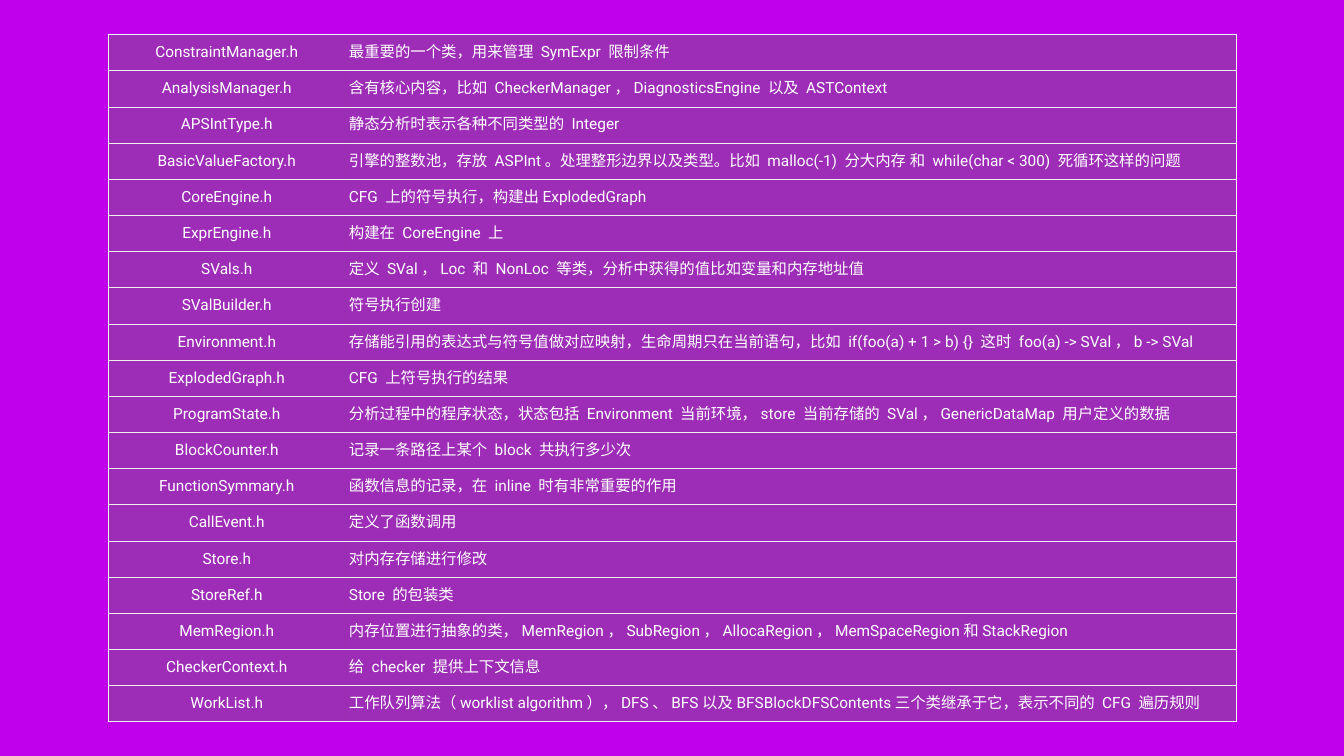
import lxml.etree
import pptx
import pptx.dml.color
import pptx.enum.text
import pptx.oxml.ns
import pptx.util

Pt = pptx.util.Pt
RGBColor = pptx.dml.color.RGBColor
qn = pptx.oxml.ns.qn

PURPLE = RGBColor(0xC0, 0x00, 0xEB)
CELL_GREY = RGBColor(0x6D, 0x6D, 0x6D)
RULE_GREY = RGBColor(0xF0, 0xF0, 0xF0)
WHITE = RGBColor(0xFF, 0xFF, 0xFF)

OUTER_RULE, INNER_RULE = 1, 0.25
COLUMN_WIDTHS = (340, 1272)
ROW_HEIGHT = 51.68

HEADERS = [
    ("ConstraintManager.h", "最重要的一个类，用来管理 SymExpr 限制条件"),
    ("AnalysisManager.h", "含有核心内容，比如 CheckerManager，DiagnosticsEngine 以及 ASTContext"),
    ("APSIntType.h", "静态分析时表示各种不同类型的 Integer"),
    ("BasicValueFactory.h", "引擎的整数池，存放 ASPInt。处理整形边界以及类型。比如 malloc(-1) 分大内存 和 "
                            "while(char < 300) 死循环这样的问题"),
    ("CoreEngine.h", "CFG 上的符号执行，构建出ExplodedGraph"),
    ("ExprEngine.h", "构建在 CoreEngine 上"),
    ("SVals.h", "定义 SVal，Loc 和 NonLoc 等类，分析中获得的值比如变量和内存地址值"),
    ("SValBuilder.h", "符号执行创建"),
    ("Environment.h", "存储能引用的表达式与符号值做对应映射，生命周期只在当前语句，比如 "
                      "if(foo(a) + 1 > b) {} 这时 foo(a) -> SVal，b -> SVal"),
    ("ExplodedGraph.h", "CFG 上符号执行的结果"),
    ("ProgramState.h", "分析过程中的程序状态，状态包括 Environment 当前环境，store 当前存储的 SVal，"
                       "GenericDataMap 用户定义的数据"),
    ("BlockCounter.h", "记录一条路径上某个 block 共执行多少次"),
    ("FunctionSymmary.h", "函数信息的记录，在 inline 时有非常重要的作用"),
    ("CallEvent.h", "定义了函数调用"),
    ("Store.h", "对内存存储进行修改"),
    ("StoreRef.h", "Store 的包装类"),
    ("MemRegion.h", "内存位置进行抽象的类，MemRegion，SubRegion，AllocaRegion，"
                    "MemSpaceRegion和StackRegion"),
    ("CheckerContext.h", "给 checker 提供上下文信息"),
    ("WorkList.h", "工作队列算法（worklist algorithm），DFS、BFS以及BFSBlockDFSContents"
                   "三个类继承于它，表示不同的 CFG 遍历规则"),
]


class HeaderSlide:
    font_name = "Roboto"
    font_size = 22
    inset = 4.5
    cell_opacity = 41

    def __init__(self, slide):
        self.slide = slide

    def background(self, color):
        fill = self.slide.background.fill
        fill.solid()
        fill.fore_color.rgb = color

    def table(self, left, top, widths, row_height, rows):
        frame = self.slide.shapes.add_table(
            len(rows), len(widths), Pt(left), Pt(top),
            Pt(sum(widths)), Pt(row_height * len(rows)))
        grid = frame.table
        grid.first_row = grid.horz_banding = False
        for column, width in zip(grid.columns, widths):
            column.width = Pt(width)
        last_row, last_column = len(rows) - 1, len(widths) - 1
        for r, texts in enumerate(rows):
            grid.rows[r].height = Pt(row_height)
            for c, text in enumerate(texts):
                cell = grid.cell(r, c)
                self.cell_text(cell, text, centred=c == 0)
                self.cell_fill(cell)
                self.cell_borders(cell, {
                    "L": OUTER_RULE if c == 0 else 0,
                    "R": OUTER_RULE if c == last_column else 0,
                    "T": OUTER_RULE if r == 0 else INNER_RULE,
                    "B": OUTER_RULE if r == last_row else INNER_RULE,
                })

    def cell_text(self, cell, text, centred):
        cell.vertical_anchor = pptx.enum.text.MSO_ANCHOR.MIDDLE
        cell.margin_left = cell.margin_right = Pt(self.inset)
        cell.margin_top = cell.margin_bottom = Pt(self.inset)
        paragraph = cell.text_frame.paragraphs[0]
        align = pptx.enum.text.PP_ALIGN
        paragraph.alignment = align.CENTER if centred else align.LEFT
        run = paragraph.add_run()
        run.text = text
        run.font.name = self.font_name
        run.font.size = Pt(self.font_size)
        run.font.color.rgb = WHITE
        east_asian = lxml.etree.SubElement(run.font._element, qn("a:ea"))
        east_asian.set("typeface", self.font_name)

    def cell_fill(self, cell):
        cell.fill.solid()
        cell.fill.fore_color.rgb = CELL_GREY
        color = cell._tc.tcPr.find(".//" + qn("a:srgbClr"))
        alpha = lxml.etree.SubElement(color, qn("a:alpha"))
        alpha.set("val", str(self.cell_opacity * 1000))

    def cell_borders(self, cell, widths):
        """Put the side lines ahead of the fill; a zero width hides the side."""
        properties = cell._tc.tcPr
        for position, (side, width) in enumerate(widths.items()):
            line = lxml.etree.Element(qn("a:ln" + side))
            line.set("w", str(int(Pt(width))))
            if width:
                fill = lxml.etree.SubElement(line, qn("a:solidFill"))
                color = lxml.etree.SubElement(fill, qn("a:srgbClr"))
                color.set("val", str(RULE_GREY))
            else:
                lxml.etree.SubElement(line, qn("a:noFill"))
            properties.insert(position, line)


def main():
    deck = pptx.Presentation()
    deck.slide_width, deck.slide_height = Pt(1920), Pt(1080)
    page = HeaderSlide(deck.slides.add_slide(deck.slide_layouts[6]))
    page.background(PURPLE)
    page.table(154, 49, COLUMN_WIDTHS, ROW_HEIGHT, HEADERS)
    deck.save("out.pptx")


if __name__ == "__main__":
    main()
